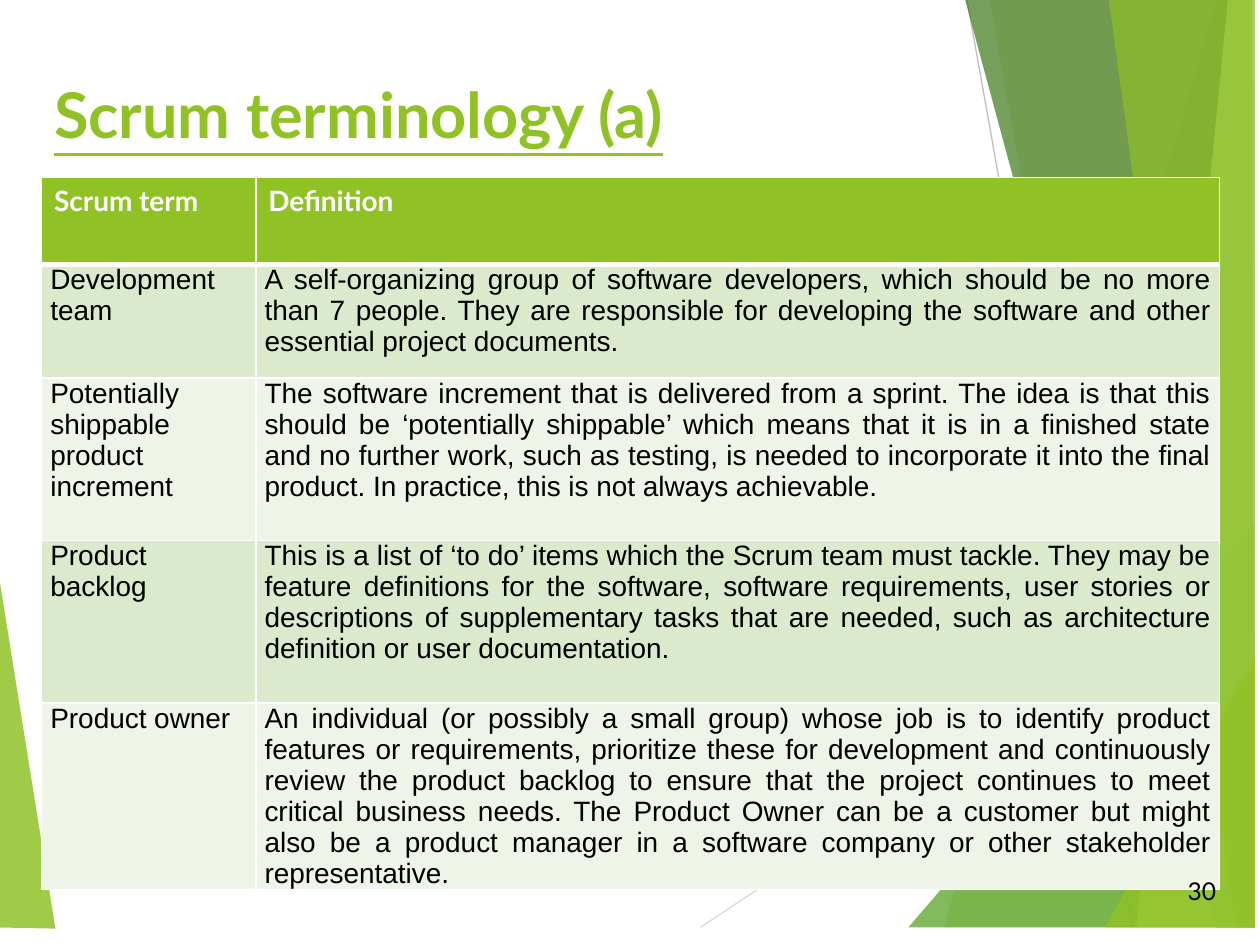
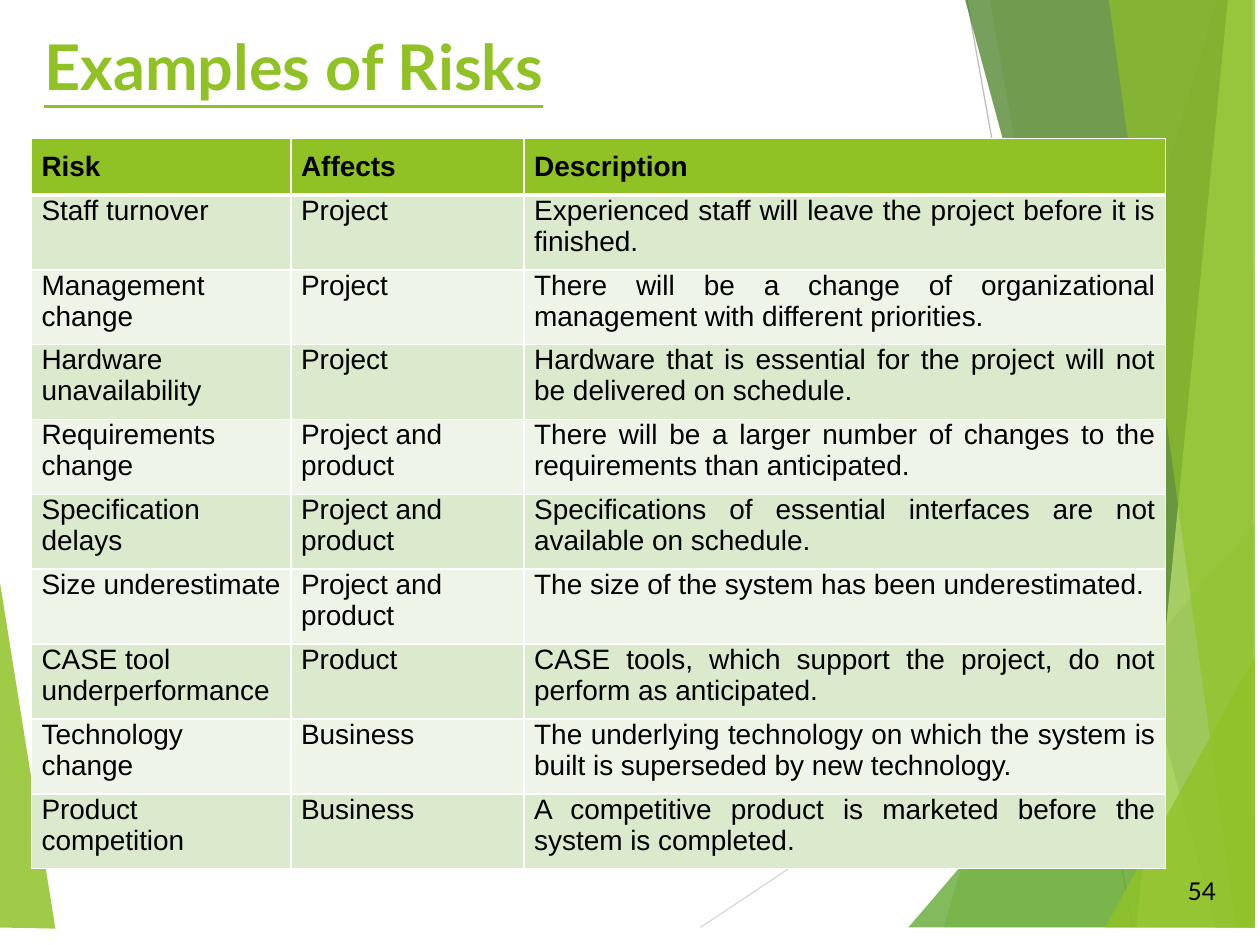
from dataclasses import dataclass

import pptx
import pptx.dml.color
import pptx.enum.shapes
import pptx.enum.text
import pptx.oxml
import pptx.oxml.ns
import pptx.slide
import pptx.table
import pptx.util
from pptx.util import Inches

ALIGN = pptx.enum.text.PP_ALIGN
ANCHOR = pptx.enum.text.MSO_ANCHOR
qn = pptx.oxml.ns.qn

COLORS = {
    "green": "90C226",
    "mid_green": "54A021",
    "dark_green": "3F7819",
    "pale_green": "C0E474",
    "row_odd": "DBE9CD",
    "row_even": "EEF4E8",
    "light_gray": "D9D9D9",
    "gray": "BFBFBF",
    "white": "FFFFFF",
    "black": "000000",
}

Point = tuple[float, float]


@dataclass(frozen=True)
class Ray:
    start: Point
    end: Point
    color: str


@dataclass(frozen=True)
class Band:
    """A translucent polygon; opacity is in percent."""
    color: str
    opacity: int
    points: tuple[Point, ...]


@dataclass(frozen=True)
class HeaderStyle:
    font: str
    color: str
    align: ALIGN
    margins: tuple[float, float]


@dataclass(frozen=True)
class TablePage:
    """Cell margins are (side, top, bottom); header margins are (side, top and bottom)."""
    title: str
    title_at: Point
    number: int
    table_at: Point
    table_height: float
    columns: tuple[float, ...]
    row_heights: tuple[float, ...]
    header: HeaderStyle
    margins: tuple[float, float, float]
    rows: tuple[tuple[str, ...], ...]


TOP, BOTTOM, RIGHT = -0.15, 7.36, 9.96

LEFT_BAND = Band("green", 85, ((-0.06, 4.25), (0.44, 7.37), (-0.06, BOTTOM)))
RAYS = (
    Ray((5.56, BOTTOM), (RIGHT, 4.43), "light_gray"),
    Ray((7.65, -0.14), (8.99, BOTTOM), "gray"),
)
RIGHT_BANDS = (
    Band("green", 30, ((9.7, TOP), (7.49, BOTTOM), (RIGHT, BOTTOM), (RIGHT, TOP))),
    Band("green", 20, ((7.83, TOP), (9.15, BOTTOM), (RIGHT, BOTTOM), (RIGHT, TOP))),
    Band("mid_green", 72, ((7.21, BOTTOM), (RIGHT, 4.15), (RIGHT, BOTTOM))),
    Band("dark_green", 70, ((7.62, TOP), (9.65, BOTTOM), (RIGHT, BOTTOM), (RIGHT, TOP))),
    Band("pale_green", 70, ((9.76, TOP), (9.02, BOTTOM), (RIGHT, BOTTOM), (RIGHT, TOP))),
    Band("green", 65, ((8.78, TOP), (9.81, BOTTOM), (9.95, BOTTOM), (9.94, TOP))),
    Band("green", 80, ((8.77, BOTTOM), (RIGHT, 5.21), (RIGHT, BOTTOM))),
)

PAGES = (
    TablePage(
        title="Scrum terminology (a)",
        title_at=(0.33, 0.55),
        number=30,
        table_at=(0.33, 1.41),
        table_height=5.86,
        columns=(1.7, 7.65),
        row_heights=(0.69, 0.9, 1.29, 1.29, 1.33),
        header=HeaderStyle("Lato", "white", ALIGN.LEFT, (0.1, 0.05)),
        margins=(0.07, 0, 0),
        rows=(
            ("Scrum term", "Definition"),
            ("Development team",
             "A self-organizing group of software developers, which should be no more than "
             "7 people. They are responsible for developing the software and other essential "
             "project documents."),
            ("Potentially shippable product increment",
             "The software increment that is delivered from a sprint. The idea is that this "
             "should be ‘potentially shippable’ which means that it is in a finished state and "
             "no further work, such as testing, is needed to incorporate it into the final "
             "product. In practice, this is not always achievable."),
            ("Product backlog",
             "This is a list of ‘to do’ items which the Scrum team must tackle. They may be "
             "feature definitions for the software, software requirements, user stories or "
             "descriptions of supplementary tasks that are needed, such as architecture "
             "definition or user documentation."),
            ("Product owner",
             "An individual (or possibly a small group) whose job is to identify product "
             "features or requirements, prioritize these for development and continuously "
             "review the product backlog to ensure that the project continues to meet critical "
             "business needs. The Product Owner can be a customer but might also be a product "
             "manager in a software company or other stakeholder representative."),
        ),
    ),
    TablePage(
        title="Examples of Risks",
        title_at=(0.25, 0.17),
        number=54,
        table_at=(0.25, 1.1),
        table_height=6.17,
        columns=(2.06, 1.85, 5.09),
        row_heights=(0.41,) * 10,
        header=HeaderStyle("Arial", "black", ALIGN.JUSTIFY, (0.08, 0.1)),
        margins=(0.08, 0, 0.1),
        rows=(
            ("Risk", "Affects", "Description"),
            ("Staff turnover", "Project",
             "Experienced staff will leave the project before it is finished."),
            ("Management change", "Project",
             "There will be a change of organizational management with different priorities."),
            ("Hardware unavailability", "Project",
             "Hardware that is essential for the project will not be delivered on schedule."),
            ("Requirements change", "Project and product",
             "There will be a larger number of changes to the requirements than anticipated."),
            ("Specification delays", "Project and product",
             "Specifications of essential interfaces are not available on schedule."),
            ("Size underestimate", "Project and product",
             "The size of the system has been underestimated."),
            ("CASE tool underperformance", "Product",
             "CASE tools, which support the project, do not perform as anticipated."),
            ("Technology change", "Business",
             "The underlying technology on which the system is built is superseded by new "
             "technology."),
            ("Product competition", "Business",
             "A competitive product is marketed before the system is completed."),
        ),
    ),
)


def rgb(name: str) -> pptx.dml.color.RGBColor:
    return pptx.dml.color.RGBColor.from_string(COLORS[name])


def set_font(para, name: str, size: int, color: str, bold: bool = False) -> None:
    para.font.name = name
    para.font.size = pptx.util.Pt(size)
    para.font.bold = bold
    para.font.color.rgb = rgb(color)


def draw_band(page: pptx.slide.Slide, band: Band):
    corners = [(Inches(x), Inches(y)) for x, y in band.points]
    builder = page.shapes.build_freeform(*corners[0])
    builder.add_line_segments(corners[1:], close=True)
    shape = builder.convert_to_shape()
    shape.shadow.inherit = False
    shape.line.fill.background()
    shape.fill.solid()
    shape.fill.fore_color.rgb = rgb(band.color)
    color = next(shape.element.iter(qn("a:srgbClr")))
    pptx.oxml.ns  # namespace helpers supply the qualified tag below
    color.append(color.makeelement(qn("a:alpha"), {"val": str(band.opacity * 1000)}))
    return shape


def draw_ray(page: pptx.slide.Slide, ray: Ray):
    ends = [Inches(length) for length in (*ray.start, *ray.end)]
    line = page.shapes.add_connector(pptx.enum.shapes.MSO_CONNECTOR.STRAIGHT, *ends)
    line.line.color.rgb = rgb(ray.color)
    line.line.width = pptx.util.Pt(0.75)
    properties = line.element.spPr
    properties.append(properties.makeelement(qn("a:effectLst"), {}))
    return line


def decorate_layout(layout: pptx.slide.SlideLayout, page: pptx.slide.Slide) -> None:
    """Draw the bands with the page's shape factory, then move them to the layout."""
    shapes = [draw_band(page, LEFT_BAND)]
    shapes += [draw_ray(page, ray) for ray in RAYS]
    shapes += [draw_band(page, band) for band in RIGHT_BANDS]
    for shape in shapes:
        layout.shapes.element.append(shape.element)


def set_borders(cell, top: float, bottom: float) -> None:
    """Give the cell white borders; widths are in points."""
    properties = cell._tc.get_or_add_tcPr()
    for side, width in (("L", 1), ("R", 1), ("T", top), ("B", bottom)):
        properties.append(pptx.oxml.parse_xml(
            f'<a:ln{side} xmlns:a="http://schemas.openxmlformats.org/drawingml/2006/main" '
            f'w="{pptx.util.Pt(width)}"><a:solidFill><a:srgbClr val="{COLORS["white"]}"/>'
            f'</a:solidFill></a:ln{side}>'))


def fill_cell(cell, text: str, row: int, is_last: bool, content: TablePage) -> None:
    is_header = row == 0
    if is_header:
        side, top = content.header.margins
        bottom = top
        fill = "green"
    else:
        side, top, bottom = content.margins
        fill = "row_odd" if row % 2 else "row_even"
    set_borders(cell, top=3 if row == 1 else 1, bottom=3 if is_header else 1)
    cell.fill.solid()
    cell.fill.fore_color.rgb = rgb(fill)
    cell.margin_left = cell.margin_right = Inches(side)
    cell.margin_top, cell.margin_bottom = Inches(top), Inches(bottom)
    cell.text = text
    para = cell.text_frame.paragraphs[0]
    if is_header:
        para.alignment = content.header.align
        set_font(para, content.header.font, 16, content.header.color, bold=True)
    else:
        para.alignment = ALIGN.JUSTIFY if is_last else ALIGN.LEFT
        set_font(para, "Arial", 16, "black")


def add_page_table(page: pptx.slide.Slide, content: TablePage) -> None:
    left, top = content.table_at
    frame = page.shapes.add_table(
        len(content.rows), len(content.columns), Inches(left), Inches(top),
        Inches(sum(content.columns)), Inches(content.table_height))
    table = frame.table
    for column, width in zip(table.columns, content.columns):
        column.width = Inches(width)
    for row, height in zip(table.rows, content.row_heights):
        row.height = Inches(height)
    frame.height = Inches(content.table_height)
    for row, texts in enumerate(content.rows):
        for column, text in enumerate(texts):
            is_last = column == len(texts) - 1
            fill_cell(table.cell(row, column), text, row, is_last, content)


def set_title(page: pptx.slide.Slide, content: TablePage) -> None:
    title = page.shapes.title
    title.left, title.top = (Inches(length) for length in content.title_at)
    title.width, title.height = Inches(8.41), Inches(1.44)
    title.text_frame.text = content.title
    title.text_frame.vertical_anchor = ANCHOR.TOP
    title.text_frame.auto_size = pptx.enum.text.MSO_AUTO_SIZE.NONE
    para = title.text_frame.paragraphs[0]
    para.alignment = ALIGN.LEFT
    set_font(para, "Lato", 36, "green", bold=True)
    para.font.underline = True


def add_page_number(page: pptx.slide.Slide, number: int) -> None:
    box = page.shapes.add_textbox(Inches(9.19), Inches(6.87), Inches(0.56), Inches(0.4))
    box.text_frame.word_wrap = True
    box.text_frame.vertical_anchor = ANCHOR.MIDDLE
    box.text_frame.text = str(number)
    para = box.text_frame.paragraphs[0]
    para.alignment = ALIGN.RIGHT
    set_font(para, "Lato", 14, "black")


def main() -> None:
    deck = pptx.Presentation()
    deck.slide_width, deck.slide_height = Inches(10), Inches(7.5)
    layout = deck.slide_layouts.get_by_name("Title Only")
    for index, content in enumerate(PAGES):
        page = deck.slides.add_slide(layout)
        if index == 0:
            decorate_layout(layout, page)
        set_title(page, content)
        add_page_table(page, content)
        add_page_number(page, content.number)
    deck.save("out.pptx")


if __name__ == "__main__":
    main()
